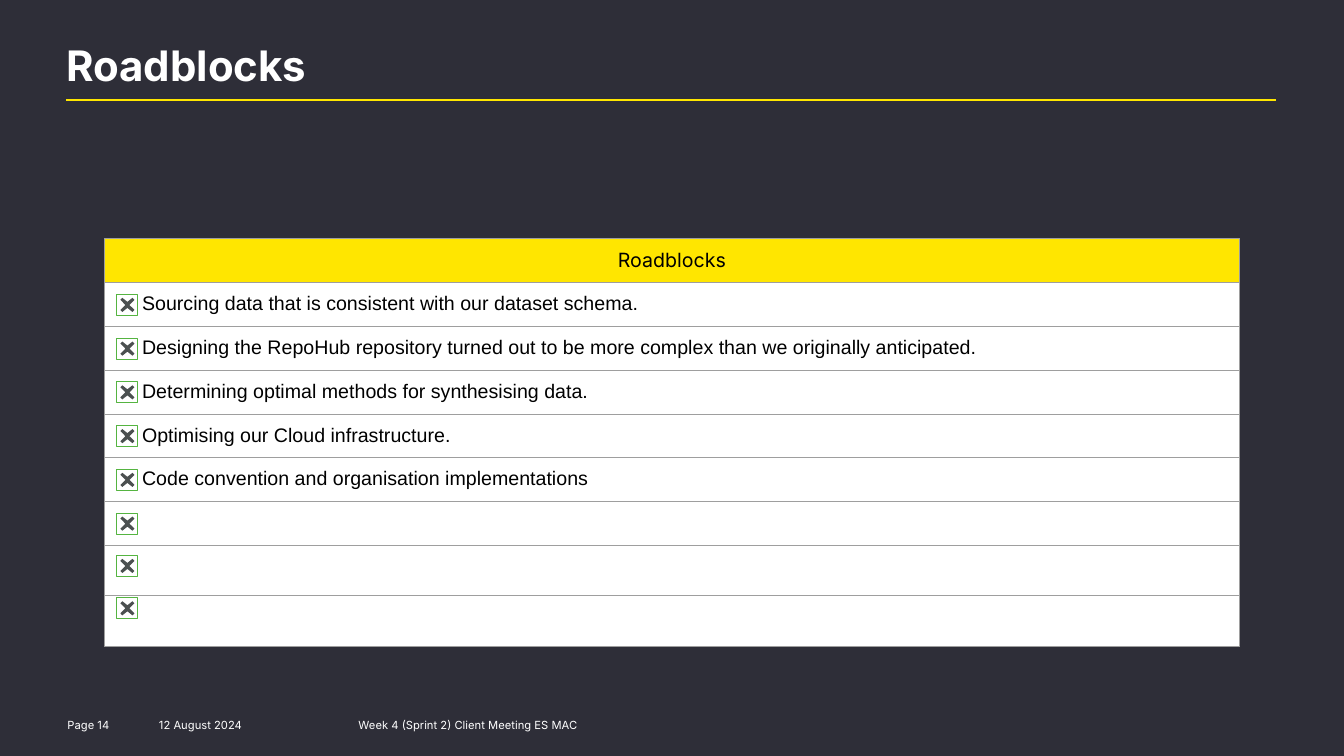
from pptx import Presentation
from pptx.dml.color import RGBColor
from pptx.enum.shapes import MSO_CONNECTOR, MSO_SHAPE
from pptx.enum.text import MSO_ANCHOR, PP_ALIGN
from pptx.oxml.ns import qn
from pptx.util import Inches, Pt
from lxml.etree import SubElement

COLOURS = {
    "background": "2E2E38",
    "yellow": "FFE600",
    "white": "FFFFFF",
    "black": "000000",
    "border": "9E9E9E",
    "box": "55B441",
    "cross": "4B5050",
}
ROADBLOCKS = [
    "Sourcing data that is consistent with our dataset schema.",
    "Designing the RepoHub repository turned out to be more complex than we originally anticipated.",
    "Determining optimal methods for synthesising data.",
    "Optimising our Cloud infrastructure.",
    "Code convention and organisation implementations",
    "",
    "",
    "",
]
ROW_HEIGHTS = [3.04 / 7] * 7 + [0.5] * 2
MARK_TOPS = [2.92 + 0.434 * row for row in range(6)] + [5.51, 5.93]
# Outline of the cross, in hundredths of an inch from its top left corner
CROSS = [(0, 12), (5, 7), (0, 2.5), (2.5, 0), (7, 4.5), (11.5, 0),
         (14, 2.5), (9, 7), (14, 12), (11.5, 14), (7, 9.5), (2.5, 14)]


def colour(name):
    return RGBColor.from_string(COLOURS[name])


def write_text(frame, text, size, font="Inter", ink="white", bold=False,
               align=PP_ALIGN.LEFT, spacing=None):
    paragraph = frame.paragraphs[0]
    paragraph.alignment = align
    if spacing:
        paragraph.line_spacing = spacing
    run = paragraph.add_run()
    run.text = text
    run.font.size = Pt(size)
    run.font.name = font
    run.font.bold = bold
    run.font.color.rgb = colour(ink)


def set_margins(target, left, top, right, bottom):
    target.margin_left, target.margin_top = Inches(left), Inches(top)
    target.margin_right, target.margin_bottom = Inches(right), Inches(bottom)


def add_header(slide, left, top, width):
    # Title placeholder
    title = slide.shapes.title
    title.left, title.top = Inches(left), Inches(top)
    title.width, title.height = Inches(7.74), Inches(0.47)
    frame = title.text_frame
    frame.word_wrap = True
    frame.vertical_anchor = MSO_ANCHOR.TOP
    set_margins(frame, 0, 0.04, 0, 0)
    write_text(frame, "Roadblocks", 30, bold=True, spacing=0.85)

    # Yellow rule
    rule_top = Inches(top + 0.56)
    rule = slide.shapes.add_connector(MSO_CONNECTOR.STRAIGHT, Inches(left), rule_top,
                                      Inches(left + width), rule_top)
    rule.line.color.rgb = colour("yellow")
    rule.line.width = Pt(1.5)
    SubElement(rule._element.spPr, qn("a:effectLst"))


def add_borders(cell):
    properties = cell._tc.get_or_add_tcPr()
    for side in ("lnL", "lnR", "lnT", "lnB"):
        line = SubElement(properties, qn(f"a:{side}"), w=str(Pt(0.75)))
        fill = SubElement(line, qn("a:solidFill"))
        SubElement(fill, qn("a:srgbClr"), val=COLOURS["border"])


def add_roadblock_table(slide, left, top, width):
    frame = slide.shapes.add_table(len(ROW_HEIGHTS), 1, Inches(left), Inches(top),
                                   Inches(width), Inches(sum(ROW_HEIGHTS)))
    table = frame.table
    for row, height in enumerate(ROW_HEIGHTS):
        table.rows[row].height = Inches(height)
        cell = table.cell(row, 0)
        add_borders(cell)
        cell.fill.solid()
        cell.fill.fore_color.rgb = colour("white" if row else "yellow")
        if row == 0:
            set_margins(cell, 0.1, 0.1, 0.1, 0.1)
            write_text(cell.text_frame, "Roadblocks", 14, ink="black", align=PP_ALIGN.CENTER)
        elif ROADBLOCKS[row - 1]:
            # The wide left margin leaves room for the mark
            set_margins(cell, 0.37, 0.1, 0.1, 0.1)
            write_text(cell.text_frame, ROADBLOCKS[row - 1], 14, font="Arial", ink="black")


def add_cross_mark(slide, left, top, size=0.21):
    group = slide.shapes.add_group_shape()
    box = group.shapes.add_shape(MSO_SHAPE.RECTANGLE, Inches(left), Inches(top),
                                 Inches(size), Inches(size))
    box.shadow.inherit = False
    box.fill.background()
    box.line.color.rgb = colour("box")
    box.line.width = Pt(0.75)

    builder = group.shapes.build_freeform(*CROSS[0], scale=Inches(0.01))
    builder.add_line_segments(CROSS[1:], close=True)
    cross = builder.convert_to_shape(Inches(left + 0.035), Inches(top + 0.035))
    cross.shadow.inherit = False
    cross.fill.solid()
    cross.fill.fore_color.rgb = colour("cross")
    cross.line.fill.background()


def add_footer(slide, left, top):
    # Text, offset from the left, width, left margin
    parts = [
        ("Page 14", 0, 0.73, 0),
        ("12 August 2024", 0.81, 1.3, 0.1),
        ("Week 4 (Sprint 2) Client Meeting ES MAC", 2.79, 3.38, 0.1),
    ]
    for text, offset, width, margin in parts:
        box = slide.shapes.add_textbox(Inches(left + offset), Inches(top),
                                       Inches(width), Inches(0.2))
        box.text_frame.word_wrap = True
        set_margins(box.text_frame, margin, 0.05, 0.1, 0.05)
        write_text(box.text_frame, text, 8)


def main():
    presentation = Presentation()
    presentation.slide_width = Inches(13.34)
    presentation.slide_height = Inches(7.5)
    slide = presentation.slides.add_slide(presentation.slide_layouts[5])
    slide.background.fill.solid()
    slide.background.fill.fore_color.rgb = colour("background")

    add_header(slide, 0.66, 0.43, 12.01)
    add_roadblock_table(slide, 1.04, 2.37, 11.26)
    for top in MARK_TOPS:
        add_cross_mark(slide, 1.16, top)
    add_footer(slide, 0.67, 7.08)
    presentation.save("out.pptx")


if __name__ == "__main__":
    main()
